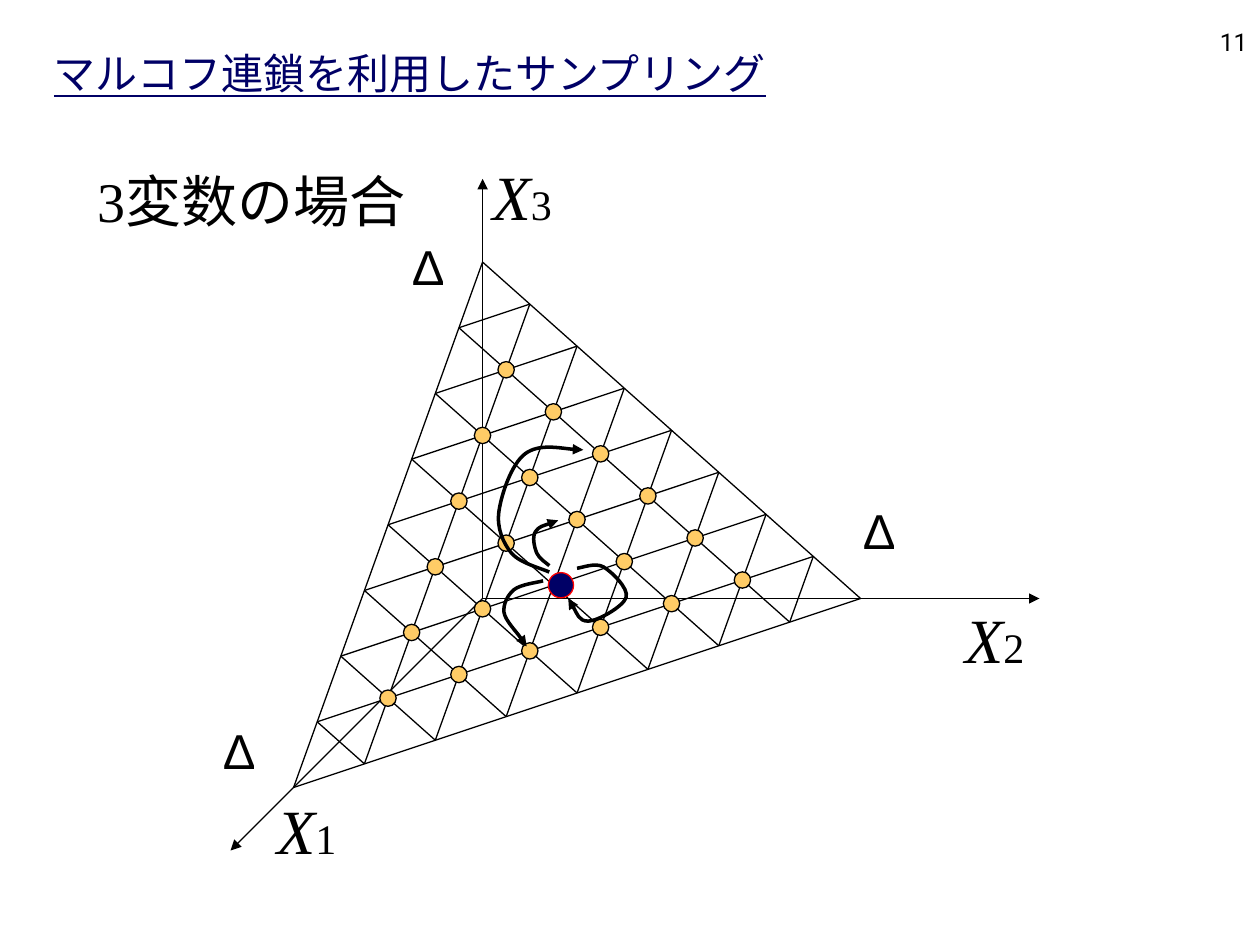
from pptx import Presentation
from pptx.dml.color import RGBColor
from pptx.enum.shapes import MSO_CONNECTOR as LINE, MSO_SHAPE as SHAPE
from pptx.enum.text import MSO_ANCHOR as ANCHOR, MSO_AUTO_SIZE as FIT, PP_ALIGN as ALIGN
from pptx.oxml.ns import qn
from pptx.util import Inches, Pt
from lxml.etree import SubElement

SERIF, GOTHIC = "Times New Roman", "Noto Sans CJK JP"
BLACK, NAVY, AMBER, RED = "000000", "000066", "FFCC66", "FF0000"
THIN, THICK = Pt(0.75), Pt(2)

deck = Presentation()
deck.slide_width, deck.slide_height = Inches(10), Inches(7.5)
page = deck.slides.add_slide(deck.slide_layouts[6])
# Grid of 100 columns by 75 rows; a point is column + row * 1j
CELL = deck.slide_width // 100


def color(code):
    return RGBColor.from_string(code)


def write(*pieces, at, size, font=SERIF, ink=BLACK, align=ALIGN.LEFT,
          anchor=ANCHOR.TOP, wrap=False, underline=None):
    """Put a one-line text box at (left, top, width, height).

    Each piece is a string or a (string, format overrides) pair.
    """
    box = page.shapes.add_textbox(*(round(v * CELL) for v in at))
    frame = box.text_frame
    frame.word_wrap, frame.vertical_anchor = wrap, anchor
    frame.auto_size = FIT.NONE if wrap else FIT.SHAPE_TO_FIT_TEXT
    para = frame.paragraphs[0]
    para.alignment = align
    for piece in pieces:
        text, extra = (piece, {}) if isinstance(piece, str) else piece
        span = para.add_run()
        span.text = text
        span.font.size = Pt(extra.get("size", size))
        span.font.name = extra.get("font", font)
        span.font.italic = extra.get("italic")
        span.font.underline = underline
        span.font.color.rgb = color(ink)
        SubElement(span.font._element, qn("a:ea")).set("typeface", GOTHIC)


# Title, heading and page number
write("マルコフ連鎖を利用したサンプリング", at=(3.3, 3.3, 85.2, 5), size=24,
      ink=NAVY, anchor=ANCHOR.BOTTOM, wrap=True, underline=True)
write("3", ("変数の場合", {"font": GOTHIC}), at=(5.6, 12.7, 28.7, 6.4), size=32,
      align=ALIGN.CENTER)
write("11", at=(79.2, 0, 20.8, 5), size=14, font="Roboto", align=ALIGN.RIGHT,
      anchor=ANCHOR.BOTTOM, wrap=True)

# The plane X1 + X2 + X3 = Δ cuts each axis at one corner of the triangle
origin = 38.3 + 47.5j
top, left, right = 38.3 + 20.8j, 23.3 + 62.5j, 68.3 + 47.5j
axis_tips = [18.3 + 67.5j, 82.5 + 47.5j, 38.3 + 14.2j]
axes = [(origin, tip) for tip in axis_tips]
edges = [(top, left), (left, right), (top, right)]

# Each edge is cut into equal steps; lattice lines join matching cuts
STEPS = 8
down = (left - top) / STEPS
across = (right - left) / STEPS
slope = (right - top) / STEPS
lattice = []
for n in range(1, STEPS):
    on_left, on_right = top + n * down, top + n * slope
    on_base, on_base_back = left + n * across, right - n * across
    lattice += [(on_left, on_right), (on_left, on_base_back), (on_right, on_base)]

arrows = []
for start, end in axes + edges + lattice:
    line = page.shapes.add_connector(LINE.STRAIGHT, *(
        round(v * CELL) for v in (start.real, start.imag, end.real, end.imag)))
    line.line.color.rgb = color(BLACK)
    line.line.width = THIN
    SubElement(line._element.spPr, qn("a:effectLst"))
    if start == origin:
        arrows.append(line)

# States are the inner crossings; the current one is larger
CURRENT = (6, 3)
for row in range(2, STEPS):
    for column in range(1, row):
        center = top + row * down + column * across
        size, fill, outline = 1.3, AMBER, BLACK
        if (row, column) == CURRENT:
            size, fill, outline = 2, NAVY, RED
            center += 0.6  # a little right, clear of the arrows
        dot = page.shapes.add_shape(SHAPE.OVAL, *(
            round(v * CELL) for v in
            (center.real - size / 2, center.imag - size / 2, size, size)))
        dot.shadow.inherit = False
        dot.fill.solid()
        dot.fill.fore_color.rgb = color(fill)
        dot.line.color.rgb = color(outline)
        dot.line.width = THIN

# Axis names beside the tips, Δ beside the corners
name_offsets = [2.7 - 5.2j, -6.9 - 0.3j, -0.2 - 2.2j]
for number, (tip, offset) in enumerate(zip(axis_tips, name_offsets), start=1):
    place = tip + offset
    write(("X", {"italic": True}), (str(number), {"size": 24}),
          at=(place.real, place.imag, 6.7, 7), size=36)
for corner, offset in [(top, -6.6 - 2.5j), (left, -6.6 - 5.8j), (right, -0.8 - 8.3j)]:
    place = corner + offset
    write("Δ", at=(place.real, place.imag, 4.4, 5.7), size=28, font="Arial")

# Transitions: the stops each curved arrow passes through
moves = {
    "one step up": [43.6 + 44.9j, 42.6 + 43.9j, 42.5 + 42.2j, 44.3 + 41.3j],
    "two steps up": [43.6 + 45.4j, 40.6 + 43.9j, 39.6 + 40.6j, 41.7 + 36j, 46.3 + 35.7j],
    "one step down": [43.1 + 46.1j, 40.8 + 46.8j, 40 + 48.6j, 41.3 + 50.6j, 41.8 + 51.3j],
    "stay": [45.8 + 45.1j, 47.9 + 45j, 49.7 + 47.4j, 46.7 + 49.3j, 45.1 + 47.5j],
}
for stops in moves.values():
    # Smooth curve: the tangent at a stop follows its two neighbours
    padded = [stops[0], *stops, stops[-1]]
    controls = []
    for before, start, end, after in zip(padded, padded[1:], padded[2:], padded[3:]):
        controls += [start + (end - before) / 6, end - (after - start) / 6, end]
    first, *rest = [(round(p.real * CELL), round(p.imag * CELL))
                    for p in [stops[0], *controls]]
    builder = page.shapes.build_freeform(*first)
    builder.add_line_segments(rest, close=False)
    curve = builder.convert_to_shape()
    curve.shadow.inherit = False
    curve.fill.background()
    curve.line.color.rgb = color(BLACK)
    curve.line.width = THICK
    arrows.append(curve)
    # Turn every three straight steps into one cubic segment
    track = next(curve._element.iter(qn("a:path")))
    straights = track.findall(qn("a:lnTo"))
    for index in range(0, len(straights), 3):
        cubic = SubElement(track, qn("a:cubicBezTo"))
        for straight in straights[index:index + 3]:
            cubic.append(straight[0])
            track.remove(straight)

# Arrowheads
for arrow in arrows:
    SubElement(arrow.line._get_or_add_ln(), qn("a:tailEnd")).set("type", "triangle")

deck.save("out.pptx")
